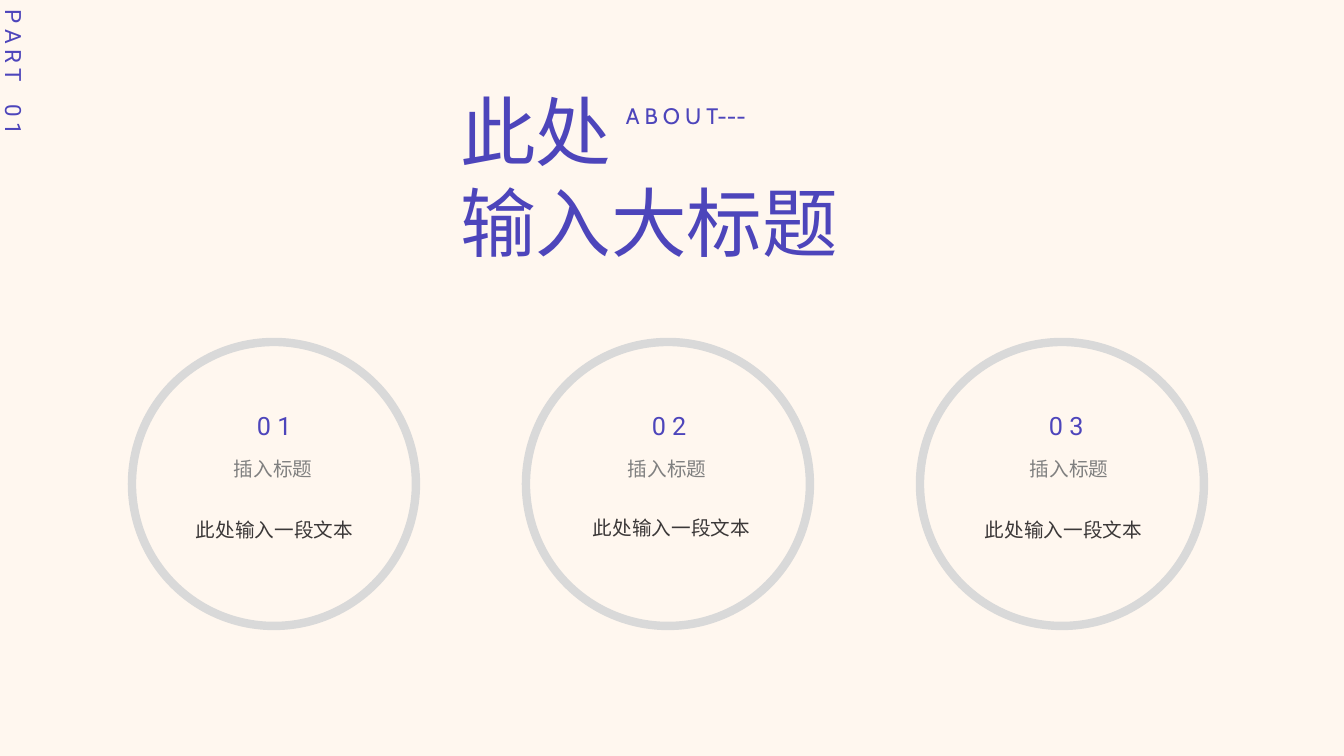
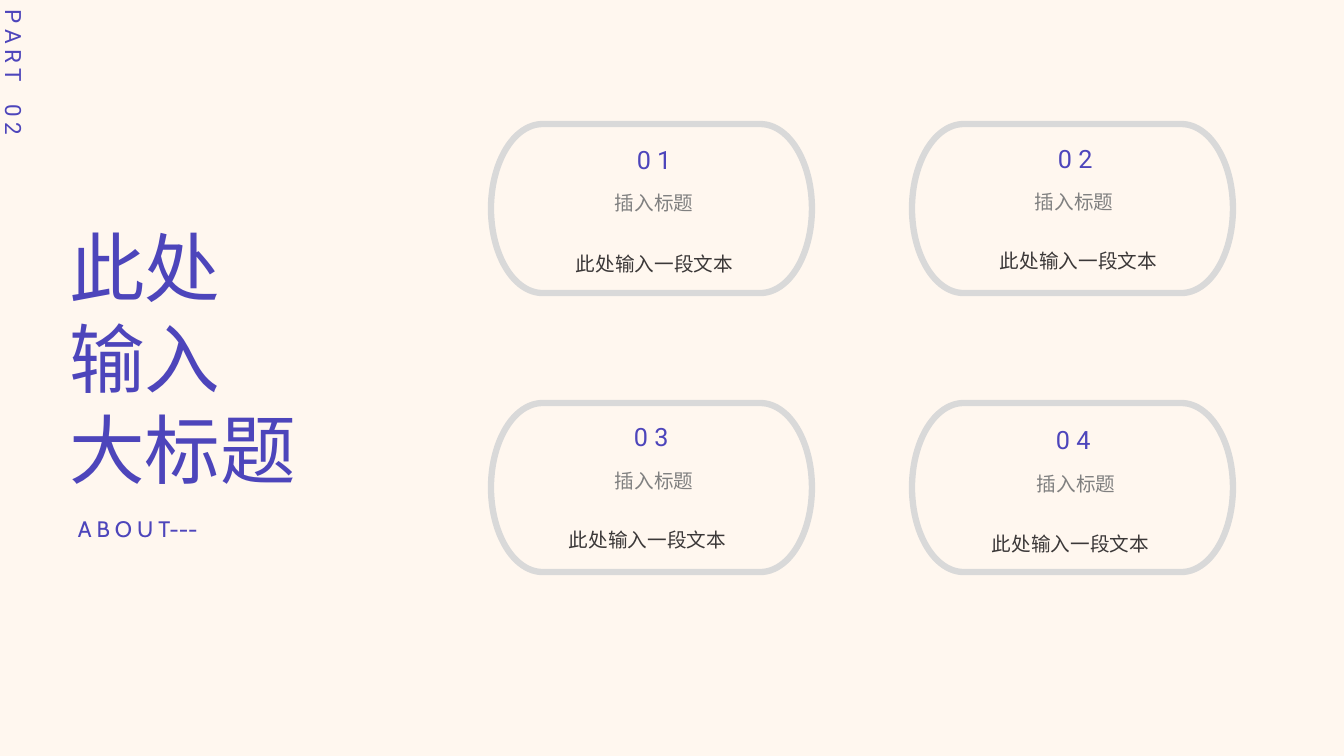
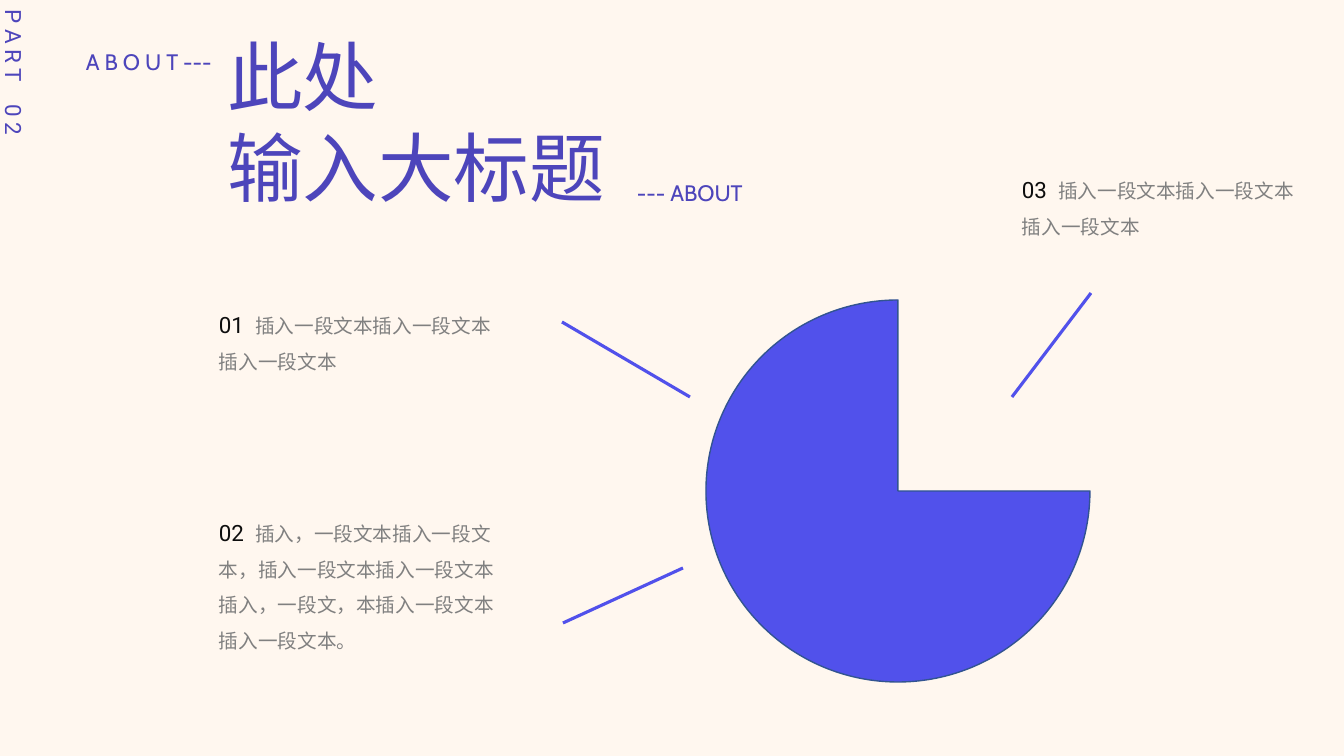
from pptx import Presentation
from pptx import util as u
from pptx.dml import color
from pptx.enum import shapes, text
from pptx.oxml import ns
from lxml import etree

PX = 914400 / 100.8
CJK, SANS, CABIN = "Noto Sans CJK SC", "Roboto", "Cabin"
CREAM, INDIGO, BLUE, NAVY = "FFF7EF", "4D45BB", "5151EB", "325491"
RING, GREY, DARK, BLACK = "D9D9D9", "808080", "3B3838", "0D0D0D"

PAGES = [
    dict(part="0 1", title=["此处", "输入大标题"], at=(450, 80, 555, 194),
         tags=[("A B O U T---", (616, 84, 389, 45))]),
    dict(part="0 2", title=["此处", "输入", "大标题"], at=(59, 216, 555, 285),
         tags=[("A B O U T---", (68, 497, 389, 45))]),
    dict(part="0 2", title=["此处", "输入大标题"], at=(217, 25, 555, 194),
         tags=[("A B O U T ---", (76, 30, 389, 45)),
               ("--- ABOUT", (627, 161, 128, 45))]),
]
LABEL, BODY = "插入标题", "此处输入一段文本"
RINGS = dict(kind=shapes.MSO_SHAPE.OVAL, start=(132, 342), step=(394, 0),
             size=(284, 284), cols=3, line=6)
PILLS = dict(kind=shapes.MSO_SHAPE.FLOWCHART_TERMINATOR, start=(491, 124),
             step=(421, 279), size=(321, 169), cols=2, line=4.5)
RING_TEXT = [
    ("0 1", (247, 390), (224, 440), (186, 501)),
    ("0 2", (642, 390), (618, 440), (583, 499)),
    ("0 3", (1039, 390), (1020, 440), (975, 501)),
]
PILL_TEXT = [
    ("0 1", (627, 124), (605, 174), (566, 235)),
    ("0 2", (1048, 123), (1025, 173), (990, 232)),
    ("0 3", (624, 401), (605, 452), (559, 511)),
    ("0 4", (1046, 404), (1027, 455), (982, 515)),
]
SHORT = "插入一段文本插入一段文本插入一段文本"
LONG = "插入，一段文本插入一段文本，插入一段文本插入一段文本插入，一段文，本插入一段文本插入一段文本。"
NOTES = [
    ("01", SHORT, (209, 293, 298, 83), (562, 322, 690, 397)),
    ("02", LONG, (209, 501, 298, 226), (563, 623, 683, 568)),
    ("03", SHORT, (1012, 158, 298, 83), (1012, 397, 1091, 293)),
]


def px(*vals):
    return [u.Emu(round(v * PX)) for v in vals]


def rgb(code):
    return color.RGBColor.from_string(code)


def write(box, *paras, size=14, font=CJK, ink=INDIGO, lead=None):
    frame = box.text_frame
    frame.word_wrap = True
    frame.auto_size = text.MSO_AUTO_SIZE.SHAPE_TO_FIT_TEXT
    frame.vertical_anchor = text.MSO_ANCHOR.TOP
    for i, runs in enumerate(paras):
        para = frame.add_paragraph() if i else frame.paragraphs[0]
        para.alignment = text.PP_ALIGN.LEFT
        para.line_spacing = lead
        for part in [runs] if isinstance(runs, str) else runs:
            words, look = (part, {}) if isinstance(part, str) else part
            run = para.add_run()
            run.text = words
            face = look.get("font", font)
            run.font.name = face
            run.font.size = u.Pt(look.get("size", size))
            run.font.color.rgb = rgb(look.get("ink", ink))
            props = run.font._element
            etree.SubElement(props, ns.qn("a:ea")).set("typeface", face)
            if "gap" in look:
                props.set("spc", str(look["gap"] * 100))
    return box


def note(slide, at, *paras, **look):
    return write(slide.shapes.add_textbox(*px(*at)), *paras, lead=1.5, **look)


def form(slide, kind, at, line, width, fill=None):
    item = slide.shapes.add_shape(kind, *px(*at))
    item.shadow.inherit = False
    if fill:
        item.fill.solid()
        item.fill.fore_color.rgb = rgb(fill)
    else:
        item.fill.background()
    item.line.color.rgb = rgb(line)
    item.line.width = u.Pt(width)


def rule(slide, ends):
    line = slide.shapes.add_connector(shapes.MSO_CONNECTOR.STRAIGHT, *px(*ends))
    line.line.color.rgb = rgb(BLUE)
    line.line.width = u.Pt(2.25)
    etree.SubElement(line._element.spPr, ns.qn("a:effectLst"))


def begin(deck, page):
    slide = deck.slides.add_slide(deck.slide_layouts[5])
    head = slide.shapes.title
    head.left, head.top, head.width, head.height = px(*page["at"])
    write(head, *page["title"], size=54)
    side = note(slide, (-69, 69, 184, 46),
                ["P A R T", (" ", dict(gap=12)), page["part"]], size=16, font=SANS)
    side.rotation = 90
    for words, at in page["tags"]:
        note(slide, at, words, size=16, font=CABIN)
    return slide


def cards(slide, grid, items):
    for i, (num, top, mid, low) in enumerate(items):
        row, col = divmod(i, grid["cols"])
        left = grid["start"][0] + col * grid["step"][0]
        high = grid["start"][1] + row * grid["step"][1]
        form(slide, grid["kind"], (left, high, *grid["size"]), RING, grid["line"])
        note(slide, (*top, 117, 50), num, size=18, font=SANS)
        note(slide, (*mid, 193, 42), LABEL, ink=GREY)
        note(slide, (*low, 200, 42), BODY, ink=DARK)


def main():
    deck = Presentation()
    deck.slide_width, deck.slide_height = px(1344, 756)
    back = deck.slide_master.background.fill
    back.solid()
    back.fore_color.rgb = rgb(CREAM)
    ring, pill, pie = [begin(deck, page) for page in PAGES]
    cards(ring, RINGS, RING_TEXT)
    cards(pill, PILLS, PILL_TEXT)
    form(pie, shapes.MSO_SHAPE.PIE, (706, 300, 384, 382), NAVY, 1, BLUE)
    mark = dict(size=16, font=SANS, ink=BLACK)
    for num, words, at, ends in NOTES:
        note(pie, at, [(num, mark), (" ", dict(mark, gap=4)), words], ink=GREY)
        rule(pie, ends)
    deck.save("out.pptx")


if __name__ == "__main__":
    main()
